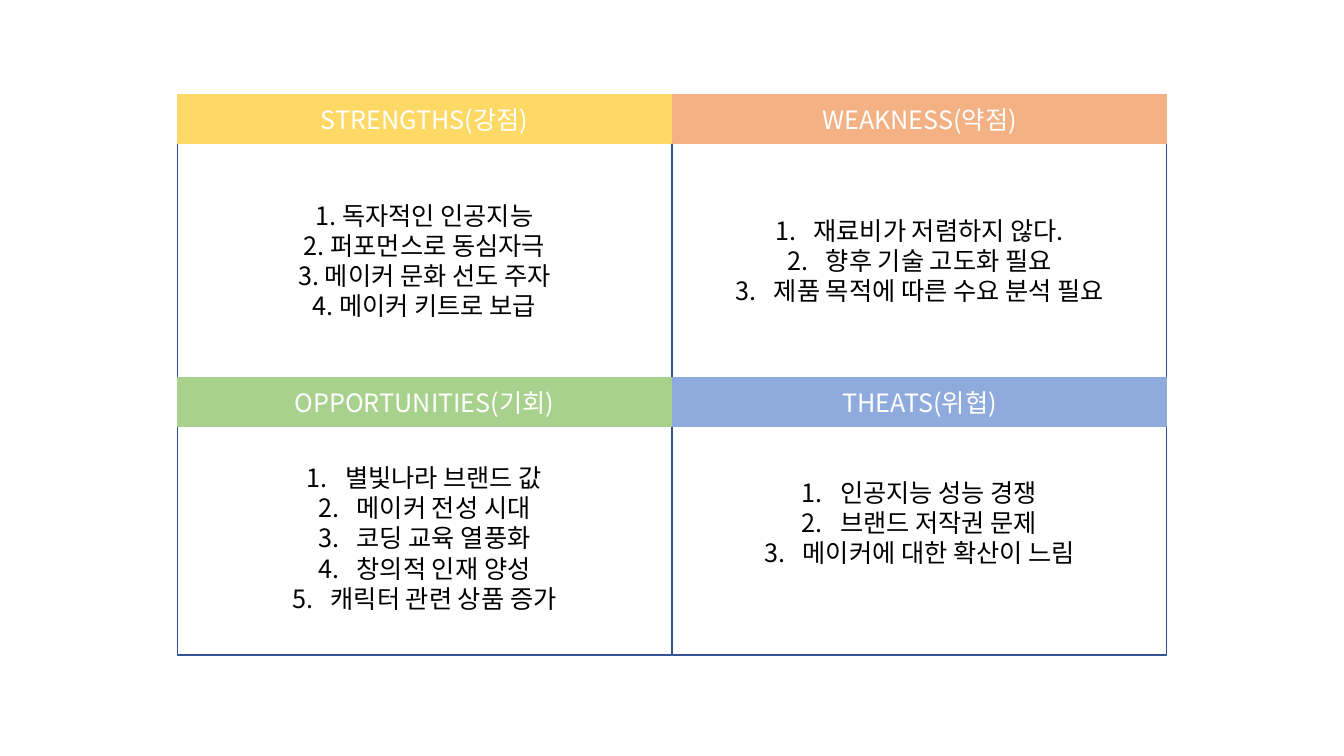
from pptx import Presentation
from pptx.dml.color import RGBColor
from pptx.enum.shapes import MSO_SHAPE
from pptx.enum.text import MSO_ANCHOR, PP_ALIGN
from pptx.oxml.ns import qn
from pptx.util import Inches, Pt
from lxml import etree

FONT = "Noto Sans CJK KR"
COLORS = {
    "outline": "325491", "text": "000000", "heading": "FFFFFF",
    "strengths": "FFD966", "weakness": "F4B183",
    "opportunities": "A9D18E", "threats": "8FAADC",
}
LEFT, TOP = 1.76, 0.94
COLUMN_STEP, ROW_STEP = 4.91, 2.81
WIDTH, HEADER_HEIGHT, BODY_HEIGHT = 4.9, 0.48, 2.33
BODY_TOPS = [1.42, 4.17]

# Color key, heading, auto-numbered, items; in reading order
QUADRANTS = [
    ("strengths", "STRENGTHS(강점)", False,
     ["1. 독자적인 인공지능", "2. 퍼포먼스로 동심자극",
      "3. 메이커 문화 선도 주자", "4. 메이커 키트로 보급"]),
    ("weakness", "WEAKNESS(약점)", True,
     ["재료비가 저렴하지 않다.", "향후 기술 고도화 필요",
      "제품 목적에 따른 수요 분석 필요"]),
    ("opportunities", "OPPORTUNITIES(기회)", True,
     ["별빛나라 브랜드 값", "메이커 전성 시대", "코딩 교육 열풍화",
      "창의적 인재 양성", "캐릭터 관련 상품 증가"]),
    ("threats", "THEATS(위협)", True,
     ["인공지능 성능 경쟁", "브랜드 저작권 문제", "메이커에 대한 확산이 느림"]),
]


def add_box(left, top, height, line_color, text_color, lines):
    box = page.shapes.add_shape(MSO_SHAPE.RECTANGLE, Inches(left), Inches(top),
                                Inches(WIDTH), Inches(height))
    box.shadow.inherit = False
    box.fill.background()
    box.line.color.rgb = RGBColor.from_string(COLORS[line_color])
    box.line.width = Pt(1)
    frame = box.text_frame
    frame.word_wrap = True
    frame.vertical_anchor = MSO_ANCHOR.MIDDLE
    frame.text = "\n".join(lines)
    for paragraph in frame.paragraphs:
        paragraph.alignment = PP_ALIGN.CENTER
        font = paragraph.font
        font.size = Pt(18)
        font.name = FONT
        font.color.rgb = RGBColor.from_string(COLORS[text_color])
        # Hangul takes the East Asian typeface
        properties = paragraph._p.get_or_add_pPr().find(qn("a:defRPr"))
        etree.SubElement(properties, qn("a:ea"), typeface=FONT)
    return box


deck = Presentation()
deck.slide_width, deck.slide_height = Inches(13.33), Inches(7.5)
page = deck.slides.add_slide(deck.slide_layouts[6])

# Quadrant bodies
for index, (name, heading, numbered, items) in enumerate(QUADRANTS):
    row, column = divmod(index, 2)
    body = add_box(LEFT + column * COLUMN_STEP, BODY_TOPS[row], BODY_HEIGHT,
                   "outline", "text", items)
    if name == "threats":
        body.text_frame.margin_bottom = Inches(0.35)  # raises the list
    if numbered:
        for paragraph in body.text_frame.paragraphs:
            properties = paragraph._p.get_or_add_pPr()
            properties.set("marL", str(Inches(0.38)))
            properties.set("indent", str(-Inches(0.38)))
            numbering = etree.Element(qn("a:buAutoNum"), type="arabicPeriod")
            properties.insert(0, numbering)

# Header bars over the bodies
for index, (name, heading, numbered, items) in enumerate(QUADRANTS):
    row, column = divmod(index, 2)
    header = add_box(LEFT + column * COLUMN_STEP, TOP + row * ROW_STEP,
                     HEADER_HEIGHT, name, "heading", [heading])
    header.fill.solid()
    header.fill.fore_color.rgb = RGBColor.from_string(COLORS[name])

deck.save("out.pptx")
